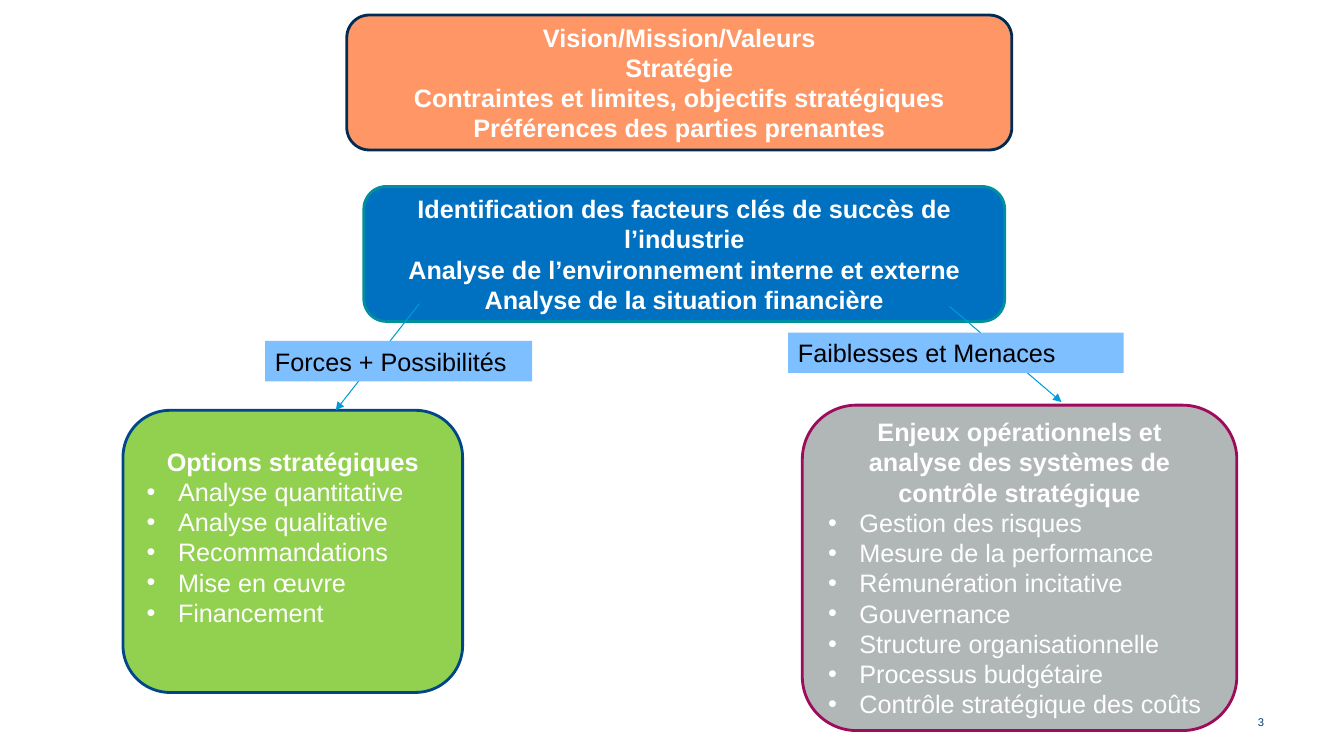
from lxml import etree
from pptx import Presentation
from pptx.dml.color import RGBColor
from pptx.enum.shapes import MSO_CONNECTOR, MSO_SHAPE
from pptx.enum.text import MSO_ANCHOR, PP_ALIGN
from pptx.oxml.ns import qn
from pptx.util import Cm, Pt

ROUNDED, RECTANGLE = MSO_SHAPE.ROUNDED_RECTANGLE, MSO_SHAPE.RECTANGLE
STRAIGHT = MSO_CONNECTOR.STRAIGHT
LEFT, CENTER, RIGHT = PP_ALIGN.LEFT, PP_ALIGN.CENTER, PP_ALIGN.RIGHT
MIDDLE, TOP = MSO_ANCHOR.MIDDLE, MSO_ANCHOR.TOP

FONT = "Arial"
WHITE, BLACK, NAVY = "FFFFFF", "000000", "003C71"
LABEL_FILL, ARROW_COLOR = "7DBFFF", "009BDA"
BULLET_INDENT = Cm(0.79)

BOXES = [
    {"place": (9.17, 4.7, 16.15, 3.4), "fill": "0070C0", "line": "008F9E",
     "headings": ["Identification des facteurs clés de succès de l’industrie",
                  "Analyse de l’environnement interne et externe",
                  "Analyse de la situation financière"],
     "bullets": [], "bottom": 0.13},
    {"place": (8.74, 0.38, 16.76, 3.4), "fill": "FF9665", "line": "002C54",
     "headings": ["Vision/Mission/Valeurs",
                  "Stratégie",
                  "Contraintes et limites, objectifs stratégiques",
                  "Préférences des parties prenantes"],
     "bullets": [], "bottom": 0.13},
    {"place": (3.1, 10.34, 8.56, 7.11), "fill": "92D050", "line": "004688",
     "headings": ["Options stratégiques"],
     "bullets": ["Analyse quantitative", "Analyse qualitative", "Recommandations",
                 "Mise en œuvre", "Financement"],
     "bottom": 0.86},
    {"place": (20.22, 10.21, 10.95, 8.2), "fill": "B1B6B6", "line": "9D0B5C",
     "headings": ["Enjeux opérationnels et analyse des systèmes de contrôle stratégique"],
     "bullets": ["Gestion des risques", "Mesure de la performance",
                 "Rémunération incitative", "Gouvernance",
                 "Structure organisationnelle", "Processus budgétaire",
                 "Contrôle stratégique des coûts"],
     "bottom": 0.13},
]
ARROWS = [(10.57, 7.65, 8.46, 10.34), (23.93, 7.72, 26.75, 10.13)]
LABELS = [
    ("Forces + Possibilités", (6.68, 8.59, 6.73, 1.02)),
    ("Faiblesses et Menaces", (19.86, 8.38, 8.46, 1.02)),
]
PAGE_NUMBER = ("3", (30.38, 17.96, 1.73, 0.46))


def rgb(color):
    return RGBColor.from_string(color)


def lengths(values):
    return [Cm(value) for value in values]


def add_bullet(paragraph):
    properties = paragraph._p.get_or_add_pPr()
    properties.set("marL", str(BULLET_INDENT))
    properties.set("indent", str(-BULLET_INDENT))
    etree.SubElement(properties, qn("a:buFont")).set("typeface", FONT)
    etree.SubElement(properties, qn("a:buChar")).set("char", "•")


def write(frame, lines, color, size=18, anchor=MIDDLE):
    frame.word_wrap = True
    frame.vertical_anchor = anchor
    for index, (text, alignment, bold, bulleted) in enumerate(lines):
        paragraph = frame.add_paragraph() if index else frame.paragraphs[0]
        paragraph.text = text
        paragraph.alignment = alignment
        if bulleted:
            add_bullet(paragraph)
        font = paragraph.font
        font.name, font.size, font.bold = FONT, Pt(size), bold
        font.color.rgb = rgb(color)


def add_block(slide, kind, place, fill, line=None):
    shape = slide.shapes.add_shape(kind, *lengths(place))
    shape.shadow.inherit = False
    shape.fill.solid()
    shape.fill.fore_color.rgb = rgb(fill)
    if line:
        shape.line.color.rgb = rgb(line)
        shape.line.width = Pt(2)
    else:
        shape.line.fill.background()
    return shape


def add_arrow(slide, ends):
    connector = slide.shapes.add_connector(STRAIGHT, *lengths(ends))
    connector.line.color.rgb = rgb(ARROW_COLOR)
    connector.line.width = Pt(0.75)
    etree.SubElement(connector.line._get_or_add_ln(), qn("a:tailEnd")).set("type", "triangle")
    etree.SubElement(connector._element.spPr, qn("a:effectLst"))


def main():
    presentation = Presentation()
    presentation.slide_width, presentation.slide_height = Cm(33.87), Cm(19.05)
    slide = presentation.slides.add_slide(presentation.slide_layouts[6])

    for box in BOXES:
        shape = add_block(slide, ROUNDED, box["place"], box["fill"], box["line"])
        shape.text_frame.margin_bottom = Cm(box["bottom"])
        lines = [(text, CENTER, True, False) for text in box["headings"]]
        lines += [(text, LEFT, False, True) for text in box["bullets"]]
        write(shape.text_frame, lines, WHITE)

    for ends in ARROWS:
        add_arrow(slide, ends)

    for text, place in LABELS:
        shape = add_block(slide, RECTANGLE, place, LABEL_FILL)
        write(shape.text_frame, [(text, LEFT, False, False)], BLACK, anchor=TOP)

    number, place = PAGE_NUMBER
    number_box = slide.shapes.add_textbox(*lengths(place))
    number_box.text_frame.margin_top = number_box.text_frame.margin_bottom = 0
    write(number_box.text_frame, [(number, RIGHT, False, False)], NAVY, size=8)

    presentation.save("out.pptx")


if __name__ == "__main__":
    main()
